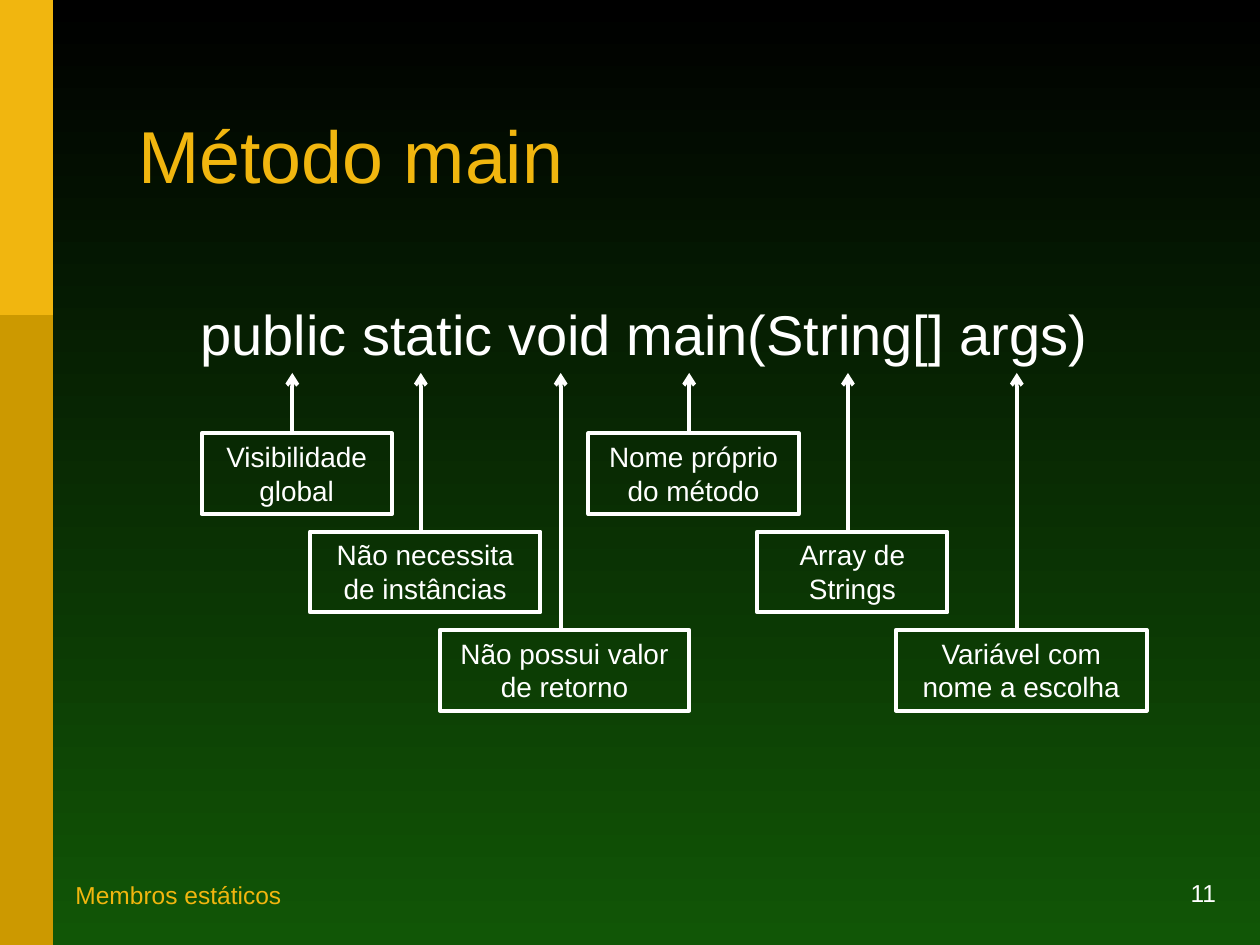
from lxml.etree import SubElement
from pptx import Presentation
from pptx.dml.color import RGBColor
from pptx.enum.shapes import MSO_CONNECTOR as Connector, MSO_SHAPE as Shape
from pptx.enum.text import MSO_ANCHOR as Anchor, PP_ALIGN as Align
from pptx.oxml.ns import qn
from pptx.util import Inches, Pt

WHITE, GOLD, DARK_GOLD = "FFFFFF", "F1B60F", "CC9900"
BLACK, GREEN = "000000", "115606"
LINE_WIDTH = Pt(2.25)
ARROW_TIP = 2.96
LABEL_HEIGHT = 0.64
FIRST_ROW, ROW_STEP = 3.44, 0.78

# text, left, width, row, arrow position
LABELS = [
    ("Visibilidade global", 1.6, 1.51, 0, 2.32),
    ("Não necessita de instâncias", 2.46, 1.83, 1, 3.34),
    ("Não possui valor de retorno", 3.49, 1.98, 2, 4.45),
    ("Nome próprio do método", 4.67, 1.67, 0, 5.47),
    ("Array de Strings", 6.01, 1.51, 1, 6.73),
    ("Variável com nome a escolha", 7.11, 1.99, 2, 8.07),
]


def color(hex_string):
    return RGBColor.from_string(hex_string)


def write(shape, text, size, hex_string, align=Align.LEFT, anchor=Anchor.TOP, spacing=None):
    frame = shape.text_frame
    frame.word_wrap = True
    frame.vertical_anchor = anchor
    para = frame.paragraphs[0]
    para.alignment = align
    if spacing:
        para.line_spacing = spacing
    span = para.add_run()
    span.text = text
    span.font.name = "Arial"
    span.font.size = Pt(size)
    span.font.color.rgb = color(hex_string)


def add_text(page, box, *args, **kwargs):
    write(page.shapes.add_textbox(*map(Inches, box)), *args, **kwargs)


def add_rectangle(page, box, fill=None, line=None):
    shape = page.shapes.add_shape(Shape.RECTANGLE, *map(Inches, box))
    shape.shadow.inherit = False
    if fill:
        shape.fill.solid()
        shape.fill.fore_color.rgb = color(fill)
    else:
        shape.fill.background()
    if line:
        shape.line.color.rgb = color(line)
        shape.line.width = LINE_WIDTH
    else:
        shape.line.fill.background()
    return shape


def add_arrow(page, x, bottom, top):
    arrow = page.shapes.add_connector(
        Connector.STRAIGHT, Inches(x), Inches(bottom), Inches(x), Inches(top))
    arrow.line.color.rgb = color(WHITE)
    arrow.line.width = LINE_WIDTH
    SubElement(arrow.line._get_or_add_ln(), qn("a:tailEnd"), type="arrow")
    SubElement(arrow._element.spPr, qn("a:effectLst"))


def paint_background(page):
    fill = page.background.fill
    fill.gradient()
    fill.gradient_angle = 270
    for stop, shade in zip(fill.gradient_stops, (BLACK, GREEN)):
        stop.color.rgb = color(shade)


def add_side_band(page, box):
    left, top, width, height = box
    add_rectangle(page, box, DARK_GOLD)
    add_rectangle(page, (left, top, width, height / 3), GOLD)


def add_footer(page, box):
    left, top, width, height = box
    number_width = 2.5
    add_text(page, (left + width - number_width, top, number_width, 0.25),
             "11", 14, WHITE, Align.RIGHT, Anchor.BOTTOM)
    add_text(page, (left, top, 6.69, height),
             "Membros estáticos", 14, GOLD, anchor=Anchor.BOTTOM)


def add_label(page, box, text, arrow_x):
    write(add_rectangle(page, box, line=WHITE), text, 16, WHITE, Align.CENTER)
    add_arrow(page, arrow_x, box[1], ARROW_TIP)


def add_signature(page, box):
    """Place the method signature in the box and its explained parts below."""
    add_text(page, box, "public static void main(String[] args)", 32, WHITE, Align.CENTER)
    for text, left, width, row, arrow_x in LABELS:
        top = FIRST_ROW + row * ROW_STEP
        add_label(page, (left, top, width, LABEL_HEIGHT), text, arrow_x)


def main():
    deck = Presentation()
    deck.slide_width, deck.slide_height = Inches(10), Inches(7.5)
    page = deck.slides.add_slide(deck.slide_layouts[6])
    paint_background(page)
    add_side_band(page, (0, 0, 0.42, 7.5))
    add_footer(page, (0.5, 7, 9.25, 0.27))
    add_text(page, (1, 0.63, 8.23, 1.29), "Método main", 42, GOLD,
             anchor=Anchor.MIDDLE, spacing=0.85)
    add_signature(page, (1, 2.33, 8.23, 0.79))
    deck.save("out.pptx")


if __name__ == "__main__":
    main()
